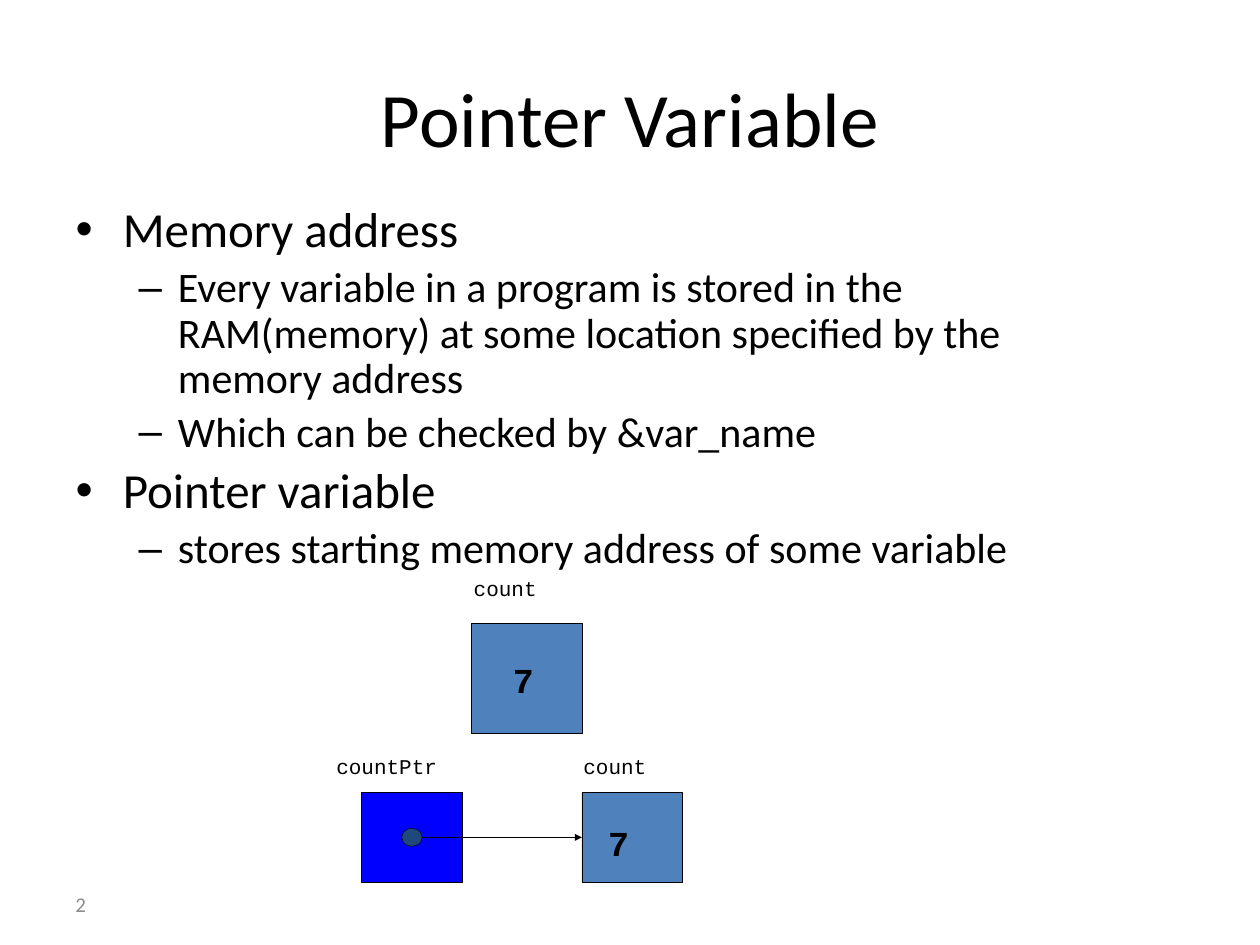
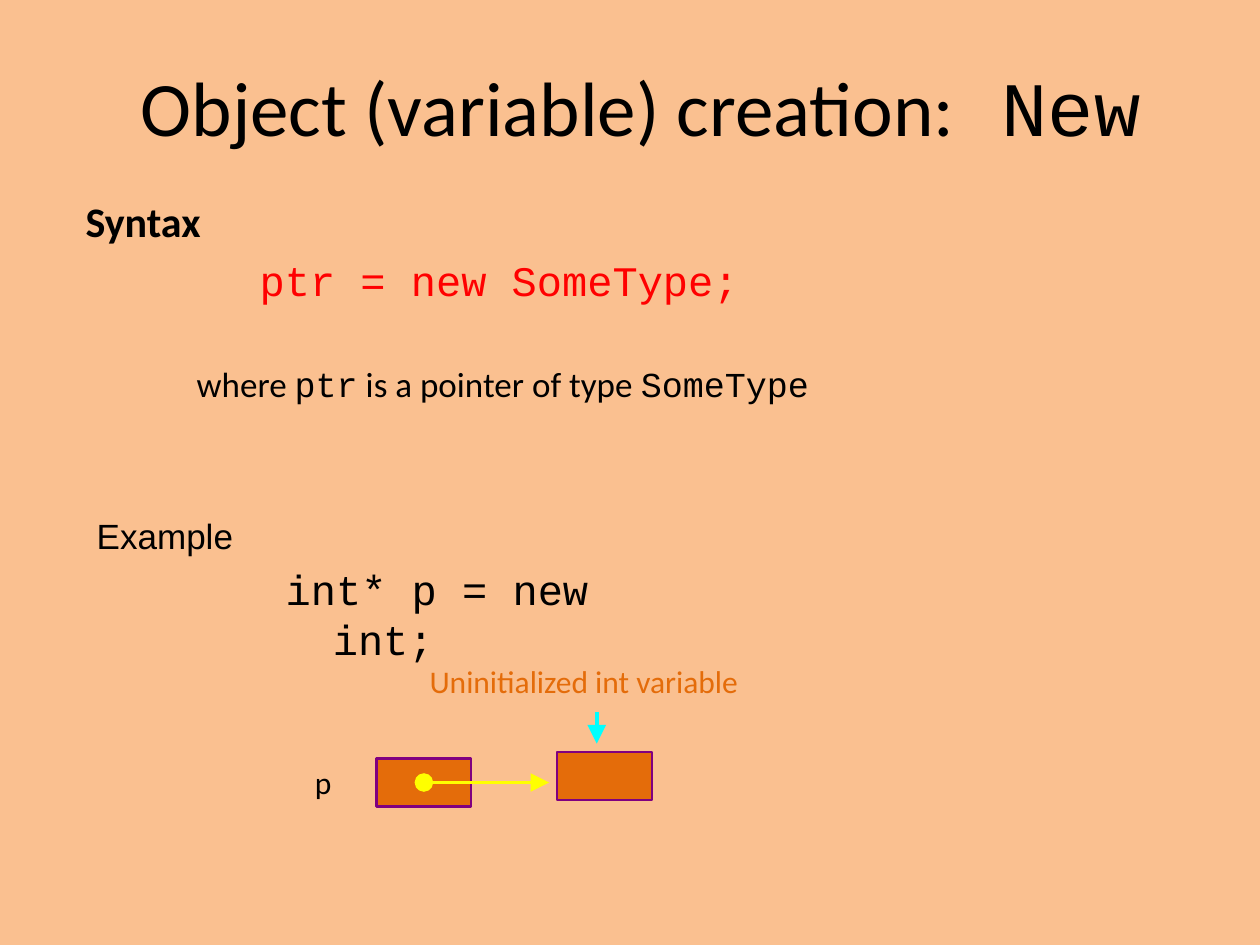
from lxml import etree
from pptx import Presentation
from pptx.dml.color import RGBColor
from pptx.enum.shapes import MSO_CONNECTOR, MSO_SHAPE
from pptx.enum.text import MSO_ANCHOR, MSO_AUTO_SIZE, PP_ALIGN
from pptx.oxml.ns import qn
from pptx.util import Cm, Pt

RECTANGLE, OVAL = MSO_SHAPE.RECTANGLE, MSO_SHAPE.OVAL
STRAIGHT = MSO_CONNECTOR.STRAIGHT
LEFT_SIDE = 1

COLORS = {
    "text": "000000", "number": "8C8C8C", "peach": "FAC090",
    "value": "4F81BD", "pointer": "0000FF", "dot": "1F497D",
    "code": "FF0000", "orange": "E46C0A", "purple": "800080",
    "yellow": "FFFF00", "cyan": "00FFFF",
}
SANS, MONO = "Calibri", "Courier New"

# Content of the first slide; lengths are centimetres
POINTER_TITLE = [("Pointer Variable", {})]
POINTER_POINTS = [
    (0, "Memory address"),
    (1, "Every variable in a program is stored in the RAM(memory) at some "
        "location specified by the memory address"),
    (1, "Which can be checked by &var_name"),
    (0, "Pointer variable"),
    (1, "stores starting memory address of some variable"),
]
POINT_SIZES = (28, 24)
# label, label position, cell area, fill, value, value offset
MEMORY_CELLS = [
    ("count", (9.55, 11.61), (9.5, 12.57, 2.24, 2.21), "value", "7", (0.84, 0.71)),
    ("countPtr", (6.78, 15.19), (7.29, 15.98, 2.03, 1.8), "pointer", "", (0, 0)),
    ("count", (11.76, 15.19), (11.73, 15.98, 2.03, 1.8), "value", "7", (0.53, 0.58)),
]
DOT_SIZE = (0.41, 0.36)

# Content of the second slide
NEW_TITLE = [("Object (variable) creation:", {}), (" New", {"font": MONO})]
# left indent, space before in points, spans
SYNTAX_LINES = [
    (0, None, [("Syntax", {"size": 24, "bold": True})]),
    (3.51, None, [("ptr = new SomeType;",
                   {"size": 24, "font": MONO, "color": "code"})]),
    (2.24, 33, [("where ", {"size": 20}), ("ptr", {"size": 20, "font": MONO}),
                (" is a pointer of type ", {"size": 20}),
                ("SomeType", {"size": 20, "font": MONO})]),
]
# text, area, inset, hanging indent, format
NEW_LABELS = [
    ("Example", (1.7, 10.24, 4, 1.1), 0.25, 0, {"size": 20, "font": "Arial"}),
    ("int* p = new int;", (5.51, 11.23, 8.8, 2.2), 0.25, 0.95,
     {"size": 24, "font": MONO}),
    ("p", (6.35, 15.39, 0.6, 0.84), 0, 0, {"size": 18}),
    ("Uninitialized int variable", (8.66, 13.34, 6.8, 0.76), 0, 0,
     {"size": 18, "color": "orange"}),
]
NEW_CELLS = [(7.59, 15.29, 1.91, 0.97), (11.23, 15.16, 1.91, 0.97)]
POINTER_TIP = 11.07
NOTE_ARROW = ((12.03, 14.35), (12.03, 14.99))


def rgb(name):
    return RGBColor.from_string(COLORS[name])


def lengths(values):
    return [Cm(value) for value in values]


def center(area):
    left, top, width, height = area
    return left + width / 2, top + height / 2


def add_span(para, text, *, size=12, font=SANS, color="text", bold=False):
    span = para.add_run()
    span.text = text
    span.font.size = Pt(size)
    span.font.name = font
    span.font.bold = bold
    span.font.color.rgb = rgb(color)


def set_indent(para, left, first=0):
    props = para._p.get_or_add_pPr()
    props.set("marL", str(Cm(left)))
    props.set("indent", str(Cm(first)))
    return props


def set_insets(frame, left, top):
    frame.margin_left, frame.margin_top = Cm(left), Cm(top)
    frame.margin_right = frame.margin_bottom = 0


def add_label(page, text, area, *, inset=0, hanging=0, **style):
    box = page.shapes.add_textbox(*lengths(area))
    frame = box.text_frame
    frame.word_wrap = True
    set_insets(frame, inset, inset / 2)
    frame.margin_right = Cm(inset)
    para = frame.paragraphs[0]
    set_indent(para, hanging, -hanging)
    add_span(para, text, **style)
    return frame


def add_figure(page, kind, area, fill, line, width):
    figure = page.shapes.add_shape(kind, *lengths(area))
    figure.shadow.inherit = False
    figure.fill.solid()
    figure.fill.fore_color.rgb = rgb(fill)
    figure.line.color.rgb = rgb(line)
    figure.line.width = Pt(width)
    return figure


def add_arrow(page, start, end, color, width, *, tip_size, tail=None):
    arrow = page.shapes.add_connector(STRAIGHT, *lengths(start + end))
    arrow.line.color.rgb = rgb(color)
    arrow.line.width = Pt(width)
    line = arrow.line._get_or_add_ln()
    for tag, kind in (("a:headEnd", tail), ("a:tailEnd", "triangle")):
        if kind:
            etree.SubElement(line, qn(tag), type=kind, w=tip_size, len=tip_size)
    etree.SubElement(arrow._element.spPr, qn("a:effectLst"))
    return arrow


def place(holder, area):
    holder.left, holder.top, holder.width, holder.height = lengths(area)
    holder.text_frame.auto_size = MSO_AUTO_SIZE.NONE
    return holder.text_frame


def add_page(deck, title, title_area, body_area):
    """Add a page with its title and return it with the body's text frame."""
    page = deck.slides.add_slide(deck.slide_layouts[1])
    frame = place(page.shapes.title, title_area)
    frame.vertical_anchor = MSO_ANCHOR.MIDDLE
    para = frame.paragraphs[0]
    para.alignment = PP_ALIGN.CENTER
    for text, style in title:
        add_span(para, text, size=44, **style)
    return page, place(page.placeholders[1], body_area)


def next_para(frame, index):
    return frame.add_paragraph() if index else frame.paragraphs[0]


def build_pointer_page(deck):
    page, body = add_page(deck, POINTER_TITLE, (1.27, 0.76, 22.86, 3.18),
                          (1.27, 4.01, 19.48, 13))
    for index, (level, text) in enumerate(POINTER_POINTS):
        para = next_para(body, index)
        para.level = level
        para.line_spacing = 0.9
        add_span(para, text, size=POINT_SIZES[level])

    # Labelled memory cells
    cells = []
    for label, position, area, fill, value, offset in MEMORY_CELLS:
        add_label(page, label, position + (3.05, 0.79), font=MONO)
        cell = add_figure(page, RECTANGLE, area, fill, "text", 0.25)
        cells.append(cell)
        if value:
            frame = cell.text_frame
            frame.vertical_anchor = MSO_ANCHOR.TOP
            set_insets(frame, *offset)
            para = frame.paragraphs[0]
            para.alignment = PP_ALIGN.LEFT
            add_span(para, value, size=20, font=MONO, bold=True)

    # Dot in the pointer cell, with an arrow to the cell it points at
    x, y = center(MEMORY_CELLS[1][2])
    width, height = DOT_SIZE
    add_figure(page, OVAL, (x - width / 2, y - height / 2, width, height),
               "dot", "text", 0.25)
    arrow = add_arrow(page, (x + width / 2, y), (MEMORY_CELLS[2][2][0], y),
                      "text", 0.25, tip_size="sm")
    arrow.end_connect(cells[2], LEFT_SIDE)

    # Page number
    number = add_label(page, "2", (1.27, 17.65, 5.92, 1.02), inset=0.25,
                       color="number")
    number.vertical_anchor = MSO_ANCHOR.MIDDLE


def build_new_page(deck):
    page, body = add_page(deck, NEW_TITLE, (1.7, 0.64, 22.43, 2.97),
                          (1.47, 3.81, 21.79, 11.43))
    page.background.fill.solid()
    page.background.fill.fore_color.rgb = rgb("peach")

    # Syntax lines without bullets
    for index, (indent, space, spans) in enumerate(SYNTAX_LINES):
        para = next_para(body, index)
        if space:
            para.space_before = Pt(space)
        etree.SubElement(set_indent(para, indent), qn("a:buNone"))
        for text, style in spans:
            add_span(para, text, **style)

    # Pointer diagram
    for area in NEW_CELLS:
        add_figure(page, RECTANGLE, area, "orange", "purple", 1.25)
    x, y = center(NEW_CELLS[0])
    add_arrow(page, (x, y), (POINTER_TIP, y), "yellow", 2.13,
              tip_size="lg", tail="oval")
    add_arrow(page, *NOTE_ARROW, "cyan", 2.13, tip_size="lg")

    for text, area, inset, hanging, style in NEW_LABELS:
        add_label(page, text, area, inset=inset, hanging=hanging, **style)


def main():
    deck = Presentation()
    deck.slide_width, deck.slide_height = Cm(25.4), Cm(19.05)
    build_pointer_page(deck)
    build_new_page(deck)
    deck.save("out.pptx")


if __name__ == "__main__":
    main()
